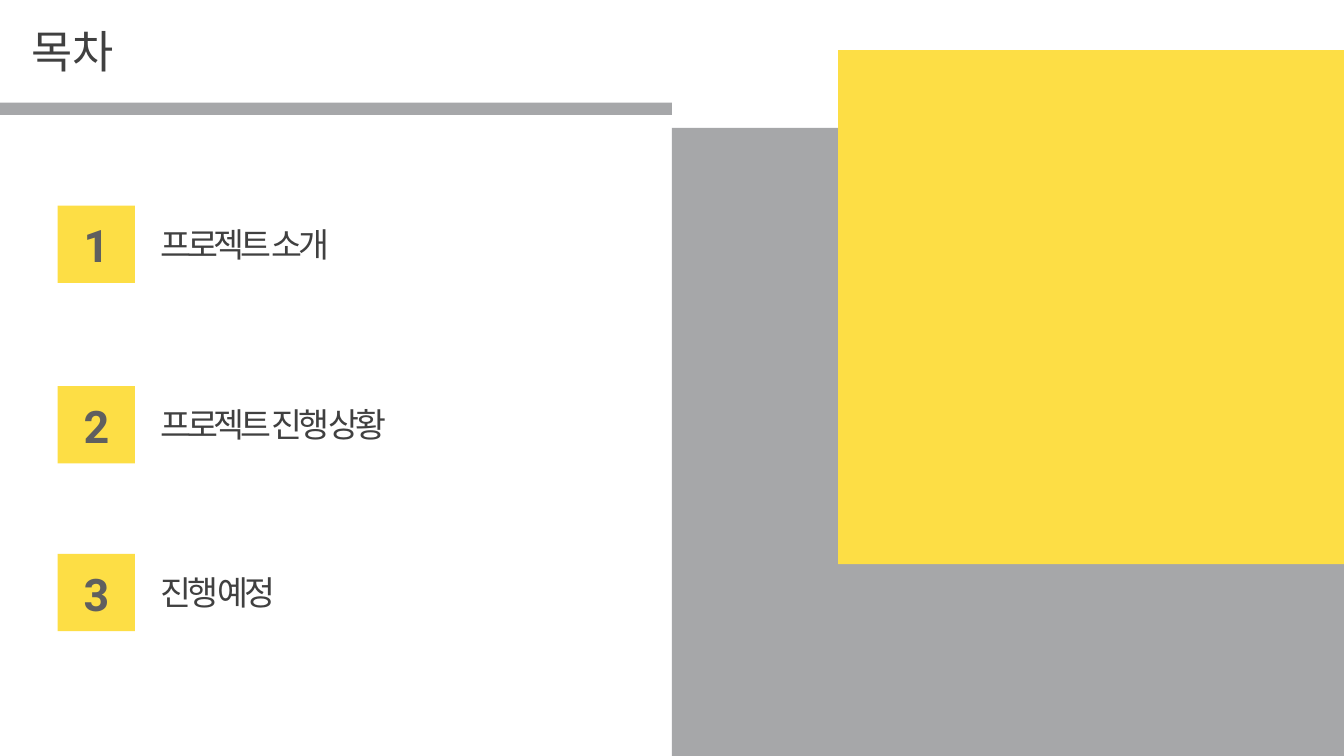
from lxml import etree
from pptx import Presentation
from pptx.dml.color import RGBColor
from pptx.enum.shapes import MSO_SHAPE
from pptx.enum.text import MSO_AUTO_SIZE, PP_ALIGN
from pptx.oxml.ns import qn
from pptx.util import Pt

RECTANGLE = MSO_SHAPE.RECTANGLE
FIT_SHAPE = MSO_AUTO_SIZE.SHAPE_TO_FIT_TEXT
LEFT = PP_ALIGN.LEFT
CENTER = PP_ALIGN.CENTER

FONT = "Roboto"
COLORS = {
    "gray": "A6A7A9",
    "yellow": "FDDE45",
    "text": "404040",
    "number": "5F5F5F",
}
WIDTH, HEIGHT = 960, 540
HALF = WIDTH / 2
PANEL_TOP = 91.4
SQUARE = 55.2
AGENDA = [
    (146.9, "프로젝트 소개"),
    (275.8, "프로젝트 진행 상황"),
    (395.6, "진행 예정"),
]


def add_block(shapes, left, top, width, height, color):
    block = shapes.add_shape(RECTANGLE, Pt(left), Pt(top), Pt(width), Pt(height))
    block.shadow.inherit = False
    block.fill.solid()
    block.fill.fore_color.rgb = RGBColor.from_string(COLORS[color])
    block.line.fill.background()


def add_text(shapes, left, top, width, height, text, size, color="text",
             bold=False, align=LEFT, wrap=False, spacing=0):
    box = shapes.add_textbox(Pt(left), Pt(top), Pt(width), Pt(height))
    frame = box.text_frame
    frame.word_wrap = wrap
    frame.auto_size = FIT_SHAPE
    paragraph = frame.paragraphs[0]
    paragraph.alignment = align
    run = paragraph.add_run()
    run.text = text
    run.font.name = FONT
    run.font.size = Pt(size)
    run.font.bold = bold
    run.font.color.rgb = RGBColor.from_string(COLORS[color])
    properties = run.font._element
    etree.SubElement(properties, qn("a:ea")).set("typeface", FONT)
    if spacing:
        properties.set("spc", str(spacing * 100))


def add_agenda_item(slide, number, top, title):
    shapes = slide.shapes.add_group_shape().shapes
    add_block(shapes, 41.2, top, SQUARE, SQUARE, "yellow")
    add_text(shapes, 52.4, top + 5.3, 33, 46, str(number), 32,
             color="number", bold=True, align=CENTER)
    add_text(shapes, 107.5, top + 9.4, 199, 36.4, title, 24,
             wrap=True, spacing=-3)


def main():
    presentation = Presentation()
    presentation.slide_width = Pt(WIDTH)
    presentation.slide_height = Pt(HEIGHT)
    slide = presentation.slides.add_slide(presentation.slide_layouts[6])

    add_block(slide.shapes, HALF, PANEL_TOP, HALF, HEIGHT - PANEL_TOP, "gray")
    add_block(slide.shapes, 0, 73.4, HALF, 8.8, "gray")
    add_text(slide.shapes, 15.4, 13.7, 73.4, 46, "목차", 32)
    for number, (top, title) in enumerate(AGENDA, 1):
        add_agenda_item(slide, number, top, title)
    add_block(slide.shapes, 598.7, 35.8, WIDTH - 598.7, 367.2, "yellow")

    presentation.save("out.pptx")


if __name__ == "__main__":
    main()
